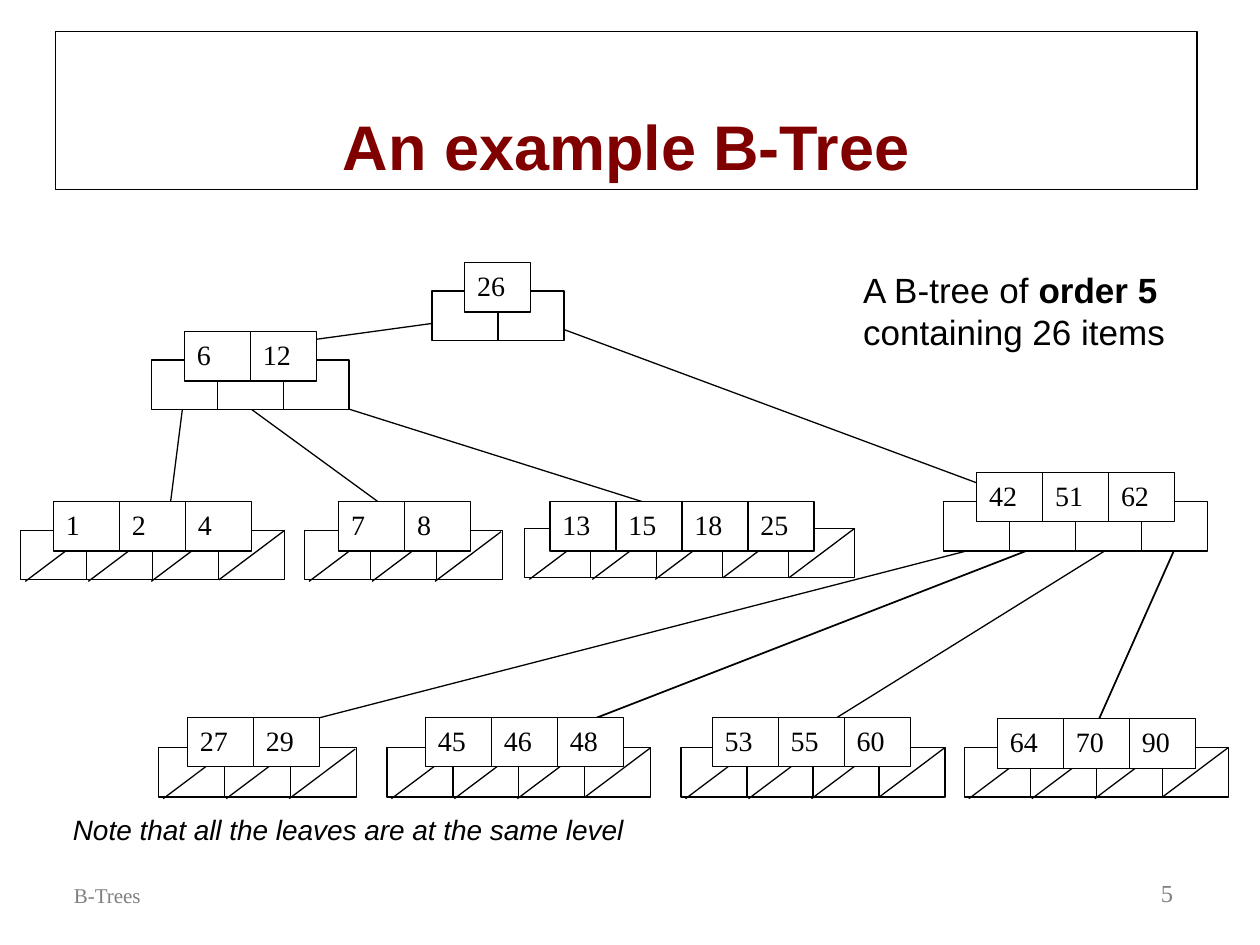
from dataclasses import dataclass

from lxml import etree
from pptx import Presentation
from pptx.dml.color import RGBColor
from pptx.enum.shapes import MSO_CONNECTOR, MSO_SHAPE
from pptx.enum.text import MSO_ANCHOR, MSO_AUTO_SIZE, PP_ALIGN
from pptx.oxml.ns import qn
from pptx.util import Cm, Pt

RECTANGLE = MSO_SHAPE.RECTANGLE
STRAIGHT = MSO_CONNECTOR.STRAIGHT
TOP, BOTTOM = MSO_ANCHOR.TOP, MSO_ANCHOR.BOTTOM
LEFT, CENTER, RIGHT = PP_ALIGN.LEFT, PP_ALIGN.CENTER, PP_ALIGN.RIGHT
NO_AUTOFIT = MSO_AUTO_SIZE.NONE
TITLE_ONLY = 5


@dataclass(frozen=True)
class Theme:
    black: RGBColor = RGBColor(0, 0, 0)
    white: RGBColor = RGBColor(255, 255, 255)
    maroon: RGBColor = RGBColor(128, 0, 0)
    gray: RGBColor = RGBColor(128, 128, 128)
    sans: str = "Arial"
    serif: str = "Times New Roman"
    title_size: Pt = Pt(36)
    body_size: Pt = Pt(20)
    key_size: Pt = Pt(16)
    number_size: Pt = Pt(14)
    footer_size: Pt = Pt(12)
    outline: Pt = Pt(0.75)
    heavy: Pt = Pt(1)


theme = Theme()
CELL_WIDTH, CELL_HEIGHT = 1.33, 1
SLASH_STEP, SLASH_INSET, SLASH_DROP = 1.27, 0.09, 0.03
SHIFTED_SLASHES = 3

presentation = Presentation()
presentation.slide_width = Cm(25.4)
presentation.slide_height = Cm(19.05)
slide = presentation.slides.add_slide(presentation.slide_layouts[TITLE_ONLY])


def write_text(shape, runs, font, size, color, align=LEFT, anchor=TOP):
    frame = shape.text_frame
    frame.word_wrap = True
    frame.auto_size = NO_AUTOFIT
    frame.vertical_anchor = anchor
    paragraph = frame.paragraphs[0]
    paragraph.alignment = align
    for text, bold, italic in runs:
        run = paragraph.add_run()
        run.text = text
        run.font.name = font
        run.font.size = size
        run.font.color.rgb = color
        run.font.bold = bold
        run.font.italic = italic


def add_line(x1, y1, x2, y2, width):
    line = slide.shapes.add_connector(STRAIGHT, Cm(x1), Cm(y1), Cm(x2), Cm(y2))
    line.line.color.rgb = theme.black
    line.line.width = width
    etree.SubElement(line._element.spPr, qn("a:effectLst"))


title = slide.shapes.title
title.left, title.top, title.width, title.height = Cm(1.12), Cm(0.64), Cm(23.01), Cm(3.18)
title.line.color.rgb = theme.black
title.line.width = theme.outline
write_text(title, [("An example B-Tree", True, False)], theme.sans,
           theme.title_size, theme.maroon, CENTER, BOTTOM)

edges = [
    (22.01, 14.82, 23.71, 11, theme.heavy),
    (10.58, 15.03, 20.96, 11, theme.heavy),
    (9.37, 6.43, 4.4, 7.11, theme.outline),
    (10.58, 6.35, 21.7, 10.48, theme.outline),
    (5.84, 7.87, 13.76, 10.37, theme.outline),
    (5.08, 8.26, 8.26, 10.58, theme.outline),
    (3.73, 7.83, 3.38, 10.58, theme.outline),
    (22.44, 11, 16.3, 14.82, theme.outline),
    (19.9, 11, 5.08, 14.82, theme.outline),
]
for edge in edges:
    add_line(*edge)

nodes = [
    ([26], 9.37, 5.29, 8.71, 5.87, False),
    ([6, 12], 3.72, 6.68, 3.05, 7.26, False),
    ([42, 51, 62], 19.69, 9.52, 19.02, 10.11, False),
    ([1, 2, 4], 1.08, 10.11, 0.42, 10.69, True),
    ([7, 8], 6.83, 10.11, 6.14, 10.69, True),
    ([13, 15, 18, 25], 11.09, 10.11, 10.58, 10.65, True),
    ([27, 29], 3.78, 14.46, 3.2, 15.07, True),
    ([45, 46, 48], 8.58, 14.46, 7.8, 15.07, True),
    ([53, 55, 60], 14.36, 14.46, 13.73, 15.07, True),
    ([64, 70, 90], 20.11, 14.49, 19.44, 15.07, True),
]
for keys, key_left, key_top, pointer_left, pointer_top, is_leaf in nodes:
    pointers = [""] * (len(keys) + 1)
    for labels, left, top in ((pointers, pointer_left, pointer_top), (keys, key_left, key_top)):
        for index, label in enumerate(labels):
            cell_left = left + index * CELL_WIDTH
            cell = slide.shapes.add_shape(RECTANGLE, Cm(cell_left), Cm(top),
                                          Cm(CELL_WIDTH), Cm(CELL_HEIGHT))
            cell.shadow.inherit = False
            cell.fill.solid()
            cell.fill.fore_color.rgb = theme.white
            cell.line.color.rgb = theme.black
            cell.line.width = theme.outline
            if label:
                write_text(cell, [(str(label), False, False)], theme.serif,
                           theme.key_size, theme.black)
            elif is_leaf:
                slash_left, slash_top = cell_left, top
                if index < SHIFTED_SLASHES:
                    slash_left = left + SLASH_INSET + index * SLASH_STEP
                    slash_top = top + SLASH_DROP
                add_line(slash_left + CELL_WIDTH, slash_top,
                         slash_left, slash_top + CELL_HEIGHT, theme.outline)

captions = [
    (17.15, 5.28, 7.42, 1.96,
     [("A B-tree of ", False, False), ("order 5", True, False), (" containing 26 items", False, False)],
     theme.sans, theme.body_size, theme.black, LEFT, TOP),
    (1.22, 16.26, 11.8, 0.94, [("Note that all the leaves are at the same level", False, True)],
     theme.sans, theme.key_size, theme.black, LEFT, TOP),
    (1.24, 17.15, 7.62, 1.27, [("B-Trees", False, False)],
     theme.serif, theme.footer_size, theme.gray, LEFT, BOTTOM),
    (18.62, 17.15, 5.28, 1.27, [("5", False, False)],
     theme.serif, theme.number_size, theme.gray, RIGHT, BOTTOM),
]
for left, top, width, height, *content in captions:
    caption = slide.shapes.add_textbox(Cm(left), Cm(top), Cm(width), Cm(height))
    write_text(caption, *content)

presentation.save("out.pptx")
